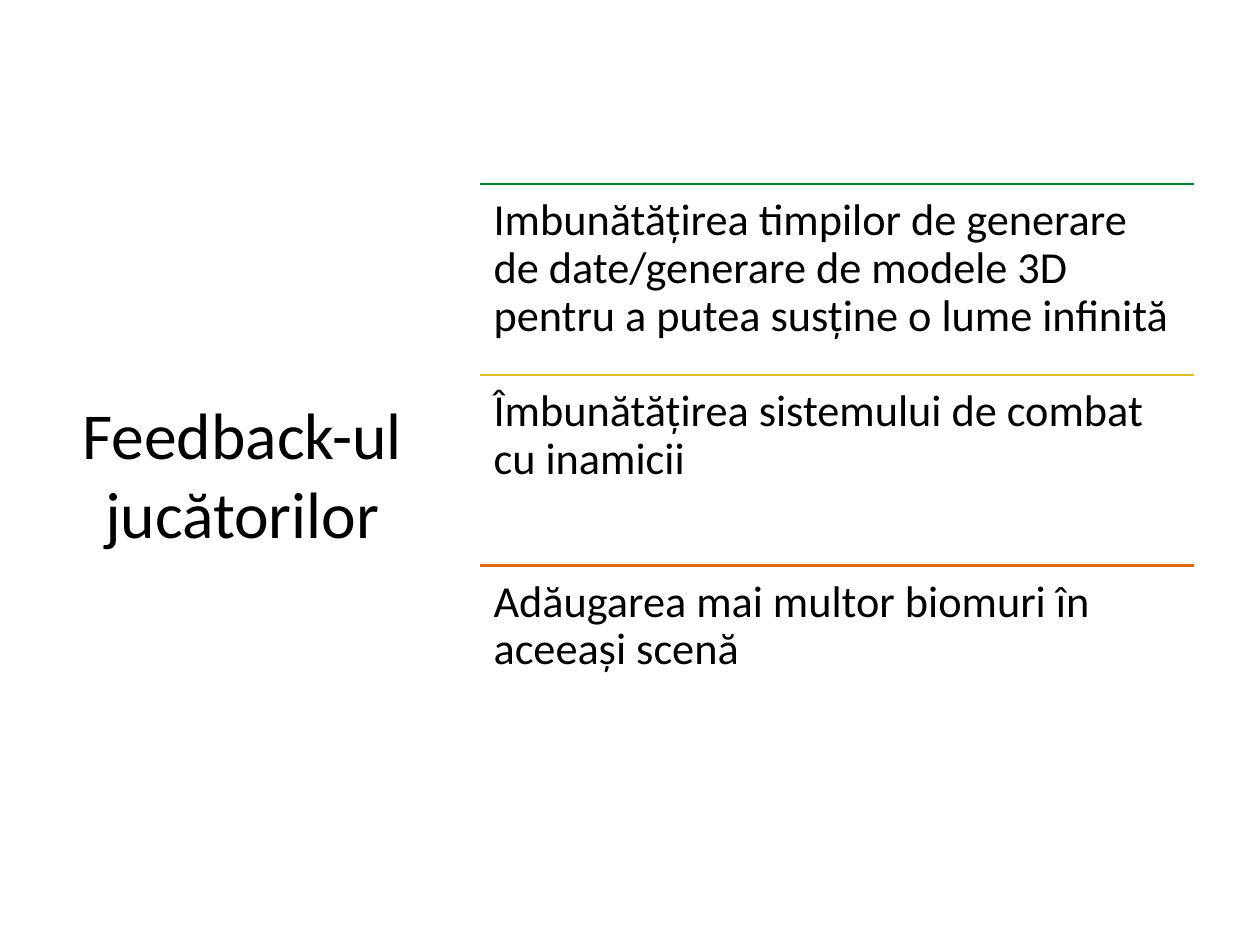
"""Build the slide listing improvements drawn from player feedback."""
from dataclasses import dataclass

from lxml.etree import SubElement
from pptx import Presentation
from pptx.dml.color import RGBColor
from pptx.enum.shapes import MSO_CONNECTOR
from pptx.enum.text import MSO_ANCHOR, PP_ALIGN
from pptx.oxml.ns import qn
from pptx.slide import Slide
from pptx.util import Cm, Pt

BLACK = RGBColor(0x00, 0x00, 0x00)
GREEN = RGBColor(0x00, 0x88, 0x2B)
YELLOW = RGBColor(0xDC, 0xBD, 0x23)
ORANGE = RGBColor(0xDE, 0x6A, 0x10)

TOP = 5.28
LIST_LEFT = 13.77
LIST_WIDTH = 20.45
ROW_HEIGHT = 5.47


@dataclass(frozen=True)
class Improvement:
    text: str
    color: RGBColor


IMPROVEMENTS = [
    Improvement("Imbunătățirea timpilor de generare de date/generare de modele 3D "
                "pentru a putea susține o lume infinită", GREEN),
    Improvement("Îmbunătățirea sistemului de combat cu inamicii", YELLOW),
    Improvement("Adăugarea mai multor biomuri în aceeași scenă", ORANGE),
]


def add_text(s: Slide, text: str, *, left: float, top: float, width: float,
             height: float, size: float, inset: float = 0,
             align: PP_ALIGN = PP_ALIGN.LEFT,
             anchor: MSO_ANCHOR = MSO_ANCHOR.TOP,
             line_spacing: float = 1.0) -> None:
    sp = s.shapes.add_textbox(Cm(left), Cm(top), Cm(width), Cm(height))
    tf = sp.text_frame
    tf.word_wrap = True
    tf.vertical_anchor = anchor
    tf.margin_left = tf.margin_right = Cm(inset)
    tf.margin_top = tf.margin_bottom = Cm(inset)
    p = tf.paragraphs[0]
    p.alignment = align
    p.line_spacing = line_spacing
    r = p.add_run()
    r.text = text
    r.font.name = "Calibri"
    r.font.size = Pt(size)
    r.font.color.rgb = BLACK


def add_rule(s: Slide, top: float, color: RGBColor) -> None:
    line = s.shapes.add_connector(MSO_CONNECTOR.STRAIGHT, Cm(LIST_LEFT), Cm(top),
                                  Cm(LIST_LEFT + LIST_WIDTH), Cm(top))
    line.line.color.rgb = color
    line.line.width = Pt(2)
    SubElement(line._element.spPr, qn("a:effectLst"))


def add_improvement(s: Slide, item: Improvement, top: float) -> None:
    add_rule(s, top, item.color)
    add_text(s, item.text, left=LIST_LEFT, top=top, width=LIST_WIDTH,
             height=ROW_HEIGHT, size=36, inset=0.38, line_spacing=0.9)


def main() -> None:
    prs = Presentation()
    prs.slide_width, prs.slide_height = Cm(36.12), Cm(27.1)
    s = prs.slides.add_slide(prs.slide_layouts[6])
    add_text(s, "Feedback-ul jucătorilor", left=1.88, top=TOP, width=10.13,
             height=16.54, size=53.3, align=PP_ALIGN.CENTER,
             anchor=MSO_ANCHOR.MIDDLE)
    for row, item in enumerate(IMPROVEMENTS):
        add_improvement(s, item, TOP + row * ROW_HEIGHT)
    prs.save("out.pptx")


if __name__ == "__main__":
    main()
